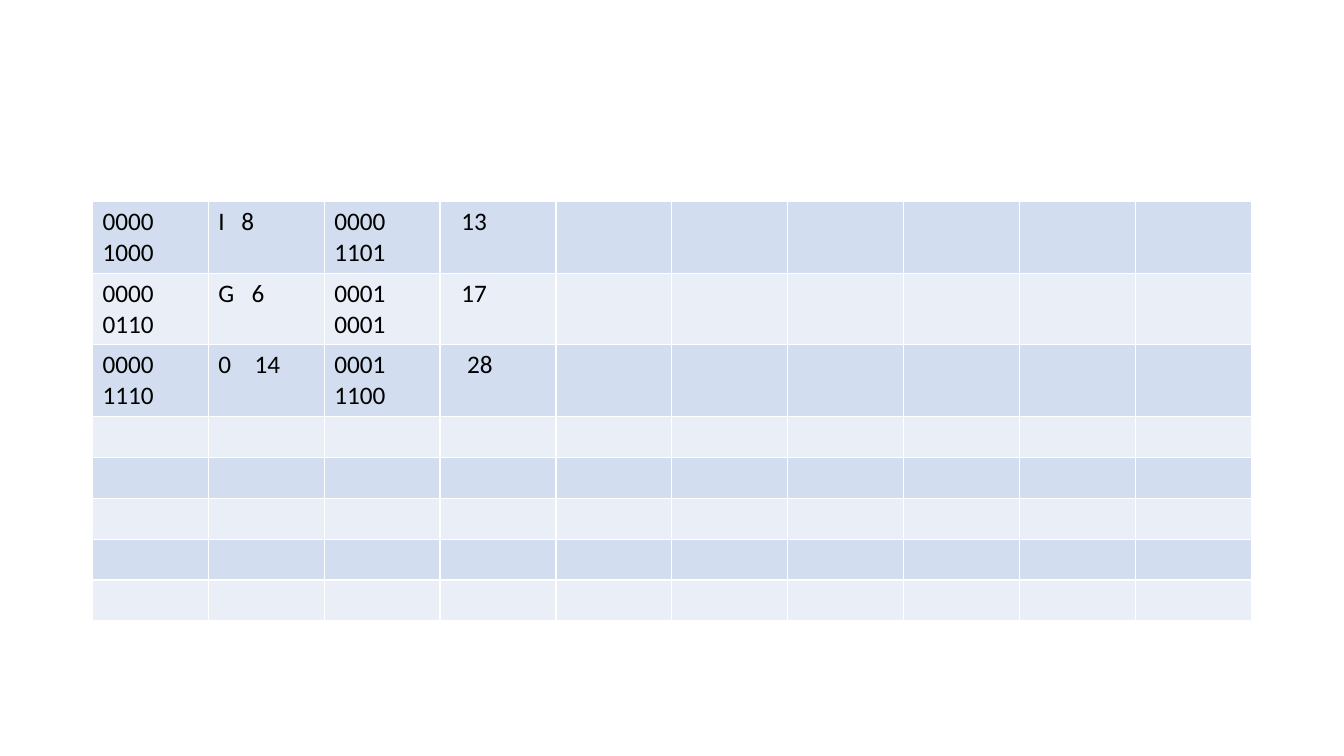
from dataclasses import dataclass

from lxml.etree import SubElement
from pptx import Presentation
from pptx.dml.color import RGBColor as Rgb
from pptx.oxml.ns import qn
from pptx.util import Cm, Pt


@dataclass(frozen=True)
class Theme:
    bands: tuple = ("D2DEEF", "EAEFF7")
    border: str = "FFFFFF"
    text: str = "000000"
    font: str = "Calibri"
    size: int = 18
    border_width: int = 1


theme = Theme()
ROWS, COLUMNS = 8, 10
COLUMN_WIDTH, ROW_HEIGHT = Cm(2.92), Cm(1.03)
CELL_MARGIN = Cm(0.25)

# Binary code, letter and value, binary sum, decimal sum; \v breaks a line
sums = [
    ("0000 1000", "I\t8", "0000\v1101", "13"),
    ("0000 0110", "G\t6", "0001 0001", "17"),
    ("0000\n1110", "0\t14", "0001 1100", "28"),
]
value_tabs = (Cm(0.58), Cm(0.84), Cm(0.91))
sum_indents = (Cm(0.29), Cm(0.29), Cm(0.43))


def add_borders(cell):
    properties = cell._tc.get_or_add_tcPr()
    for side in ("lnL", "lnR", "lnT", "lnB"):
        line = SubElement(properties, qn(f"a:{side}"), w=str(Pt(theme.border_width)))
        fill = SubElement(line, qn("a:solidFill"))
        SubElement(fill, qn("a:srgbClr"), val=theme.border)


def add_tab_stop(paragraph, position):
    stops = SubElement(paragraph._p.get_or_add_pPr(), qn("a:tabLst"))
    SubElement(stops, qn("a:tab"), pos=str(position), algn="l")


presentation = Presentation()
presentation.slide_width, presentation.slide_height = Cm(33.87), Cm(19.05)
slide = presentation.slides.add_slide(presentation.slide_layouts[6])

binary_table = slide.shapes.add_table(
    ROWS, COLUMNS, Cm(2.33), Cm(5.08), COLUMN_WIDTH * COLUMNS, ROW_HEIGHT * ROWS
).table
for option, value in {"first_row": False, "horz_banding": False}.items():
    setattr(binary_table, option, value)
for column in binary_table.columns:
    column.width = COLUMN_WIDTH

for row_number, row in enumerate(binary_table.rows):
    row.height = ROW_HEIGHT
    for cell in row.cells:
        add_borders(cell)
        cell.fill.solid()
        cell.fill.fore_color.rgb = Rgb.from_string(theme.bands[row_number % 2])

font_format = {"name": theme.font, "size": Pt(theme.size)}
for row_number, entries in enumerate(sums):
    for column_number, entry in enumerate(entries):
        cell = binary_table.cell(row_number, column_number)
        cell.text = entry
        for paragraph in cell.text_frame.paragraphs:
            for run in paragraph.runs:
                for attribute, value in font_format.items():
                    setattr(run.font, attribute, value)
                run.font.color.rgb = Rgb.from_string(theme.text)
    letter_value = binary_table.cell(row_number, 1).text_frame.paragraphs[0]
    add_tab_stop(letter_value, value_tabs[row_number])
    decimal_sum = binary_table.cell(row_number, 3)
    decimal_sum.margin_left = CELL_MARGIN + sum_indents[row_number]

presentation.save("out.pptx")
